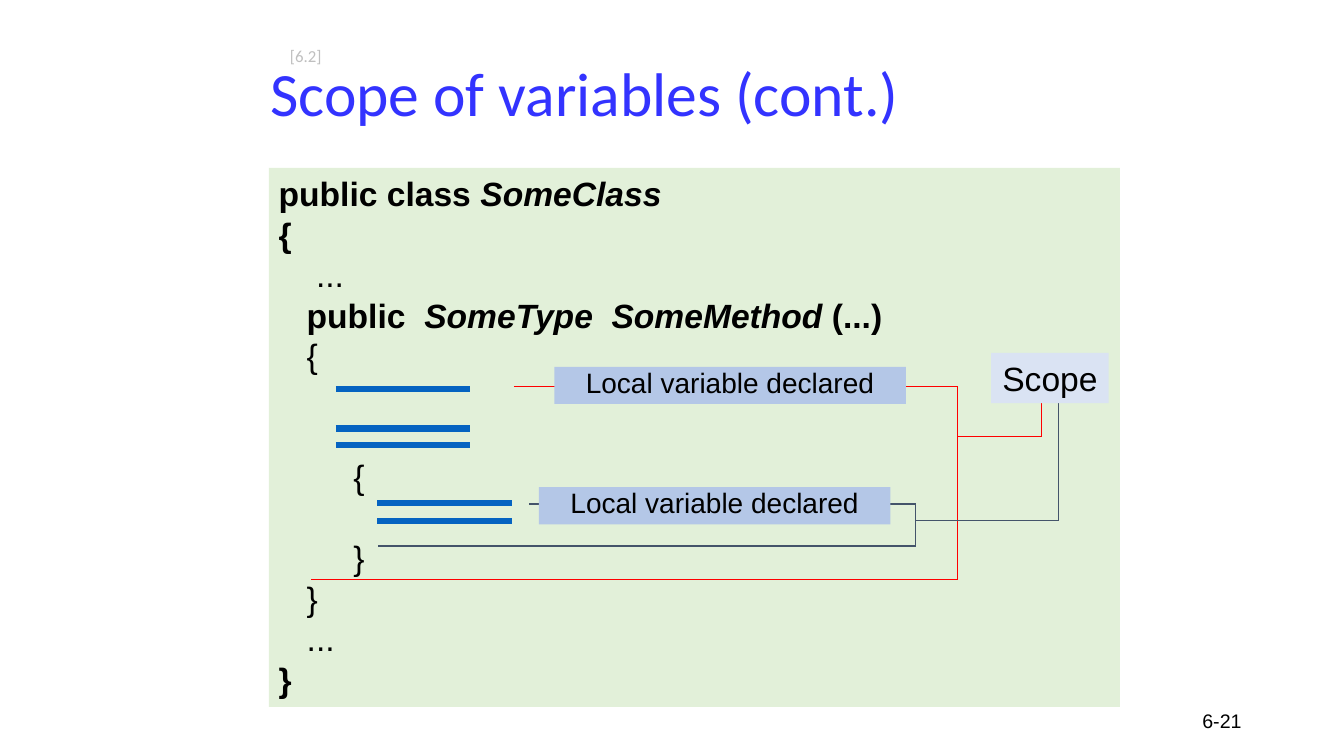
from dataclasses import dataclass
from itertools import pairwise

from lxml import etree
from pptx import Presentation
from pptx.dml.color import RGBColor
from pptx.enum.shapes import MSO_CONNECTOR, MSO_SHAPE
from pptx.enum.text import MSO_ANCHOR, PP_ALIGN
from pptx.oxml.ns import qn
from pptx.util import Pt

STRAIGHT = MSO_CONNECTOR.STRAIGHT
RECTANGLE = MSO_SHAPE.RECTANGLE
TOP, MIDDLE = MSO_ANCHOR.TOP, MSO_ANCHOR.MIDDLE
LEFT, CENTER, RIGHT = PP_ALIGN.LEFT, PP_ALIGN.CENTER, PP_ALIGN.RIGHT
PLAIN, BOLD, BOLD_ITALIC = (False, False), (True, False), (True, True)


@dataclass(frozen=True)
class Theme:
    heading_font: str = "Calibri"
    body_font: str = "Arial"
    title_size: float = 44
    code_size: float = 24
    label_size: float = 20
    page_size: float = 14
    section_size: float = 12
    code_pitch: float = 28.9
    indent_unit: float = 6.67
    thin: float = 0.75
    thick: float = 4.5
    ink: str = "000000"
    title: str = "3333FF"
    section: str = "BFBFBF"
    code_panel: str = "E2F0D9"
    scope_panel: str = "DAE3F3"
    label_panel: str = "B4C7E7"
    statement: str = "0563C1"
    outer_scope: str = "FF0000"
    inner_scope: str = "44546A"


THEME = Theme()

CODE = [
    (0, 0, [("public class ", BOLD), ("SomeClass", BOLD_ITALIC)]),
    (0, 0, [("{", BOLD)]),
    (4, 0, [("...", PLAIN)]),
    (3, 0, [("public  ", BOLD), ("SomeType  SomeMethod ", BOLD_ITALIC), ("(...)", BOLD)]),
    (3, 0, [("{", PLAIN)]),
    (8, 2, [("{", PLAIN)]),
    (8, 1, [("}", PLAIN)]),
    (3, 0, [("}", PLAIN)]),
    (3, 0, [("...", PLAIN)]),
    (0, 0, [("}", BOLD)]),
]
STATEMENTS = [(240, 278), (240, 306), (240, 318), (269.5, 359.5), (269.5, 372)]
STATEMENT_WIDTH = 96
OUTER_SCOPE = [
    [(367, 276), (684, 276), (684, 414), (222, 414)],
    [(684, 312), (744, 312), (744, 288)],
]
INNER_SCOPE = [
    [(378, 360), (654, 360), (654, 390), (270, 390)],
    [(654, 372), (756, 372), (756, 288)],
]


def set_font(font, size, color, name):
    font.size = Pt(size)
    font.name = name
    font.color.rgb = RGBColor.from_string(color)


def add_panel(slide, box, color):
    panel = slide.shapes.add_shape(RECTANGLE, *map(Pt, box))
    panel.shadow.inherit = False
    panel.fill.solid()
    panel.fill.fore_color.rgb = RGBColor.from_string(color)
    panel.line.fill.background()
    return panel


def write_line(frame, text, size, color=THEME.ink, font=THEME.body_font,
               align=CENTER, spacing=1.0, wrap=True):
    frame.word_wrap = wrap
    frame.vertical_anchor = MIDDLE
    paragraph = frame.paragraphs[0]
    paragraph.text = text
    paragraph.alignment = align
    paragraph.line_spacing = spacing
    set_font(paragraph.font, size, color, font)


def add_text(slide, box, text, size, **style):
    write_line(slide.shapes.add_textbox(*map(Pt, box)).text_frame, text, size, **style)


def add_label(slide, box, text, size, fill, spacing=1.0):
    write_line(add_panel(slide, box, fill).text_frame, text, size, spacing=spacing)


def add_code(slide, box, lines):
    frame = add_panel(slide, box, THEME.code_panel).text_frame
    frame.word_wrap = True
    frame.vertical_anchor = TOP
    for number, (indent, gap, pieces) in enumerate(lines):
        paragraph = frame.add_paragraph() if number else frame.paragraphs[0]
        paragraph.alignment = LEFT
        paragraph.line_spacing = Pt(THEME.code_pitch)
        paragraph.space_before = Pt(gap * THEME.code_pitch)
        set_font(paragraph.font, THEME.code_size, THEME.ink, THEME.body_font)
        properties = paragraph._p.get_or_add_pPr()
        properties.set("marL", str(Pt(indent * THEME.indent_unit)))
        properties.set("indent", "0")
        for text, (bold, italic) in pieces:
            run = paragraph.add_run()
            run.text = text
            run.font.bold, run.font.italic = bold, italic


def add_route(slide, points, color, width):
    for start, end in pairwise(points):
        segment = slide.shapes.add_connector(STRAIGHT, *map(Pt, start + end))
        segment.line.color.rgb = RGBColor.from_string(color)
        segment.line.width = Pt(width)
        etree.SubElement(segment._element.spPr, qn("a:effectLst"))


def main():
    presentation = Presentation()
    presentation.slide_width, presentation.slide_height = Pt(960), Pt(540)
    slide = presentation.slides.add_slide(presentation.slide_layouts[6])

    add_text(slide, (678, 500.5, 216, 29), "6-21", THEME.page_size, align=RIGHT)
    add_text(slide, (186, 24, 612, 90), "Scope of variables (cont.)", THEME.title_size,
             color=THEME.title, font=THEME.heading_font, align=LEFT, spacing=0.9)
    add_code(slide, (192, 120, 608, 385), CODE)

    for left, y in STATEMENTS:
        add_route(slide, [(left, y), (left + STATEMENT_WIDTH, y)],
                  THEME.statement, THEME.thick)
    for routes, color in ((OUTER_SCOPE, THEME.outer_scope),
                          (INNER_SCOPE, THEME.inner_scope)):
        for route in routes:
            add_route(slide, route, color, THEME.thin)

    add_label(slide, (708, 252, 84, 36), "Scope", THEME.code_size, THEME.scope_panel)
    for left, top in ((396, 262), (385, 348)):
        add_label(slide, (left, top, 251, 26.5), "Local variable declared",
                  THEME.label_size, THEME.label_panel, spacing=0.8)
    add_text(slide, (200, 29, 37.5, 21.5), "[6.2]", THEME.section_size,
             color=THEME.section, font=THEME.heading_font, align=LEFT, wrap=False)

    presentation.save("out.pptx")


main()
